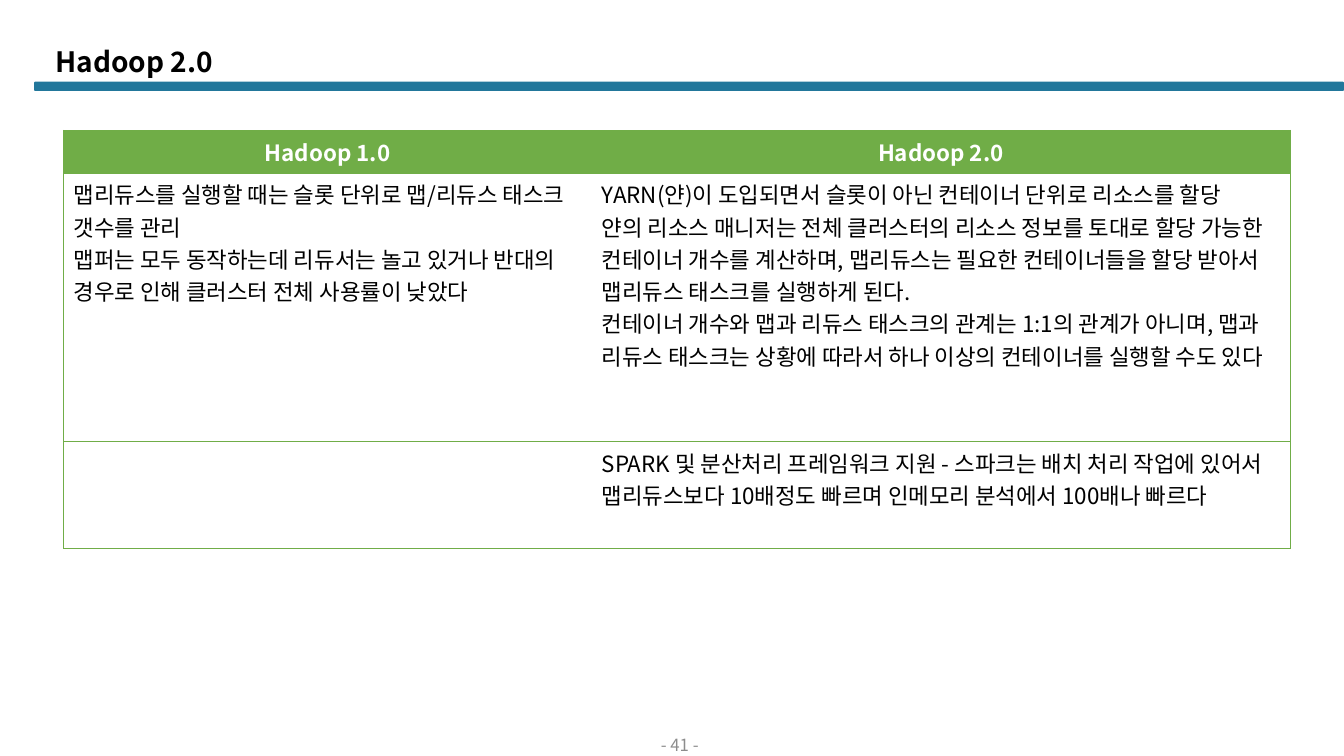
from dataclasses import dataclass

import lxml.etree
import pptx
import pptx.dml.color
import pptx.enum.shapes
import pptx.enum.text
import pptx.oxml.ns
import pptx.util

Cm = pptx.util.Cm
Pt = pptx.util.Pt
qn = pptx.oxml.ns.qn
ALIGN = pptx.enum.text.PP_ALIGN
ANCHOR = pptx.enum.text.MSO_ANCHOR

FONT = "Noto Sans CJK KR"
GREEN = "70AD47"
BLACK = "000000"
COLUMN_WIDTHS = (13.31, 17.6)


@dataclass
class TextStyle:
    size: int
    color: str
    bold: bool = False
    align: ALIGN = ALIGN.LEFT


@dataclass
class TableRow:
    height: float
    cells: list[list[str]]
    style: TextStyle
    fill: str | None = None


TITLE = TextStyle(20, BLACK, bold=True)
HEADER = TextStyle(16, "FFFFFF", bold=True, align=ALIGN.CENTER)
BODY = TextStyle(16, BLACK)
PAGE_NUMBER = TextStyle(12, "8C8C8C", align=ALIGN.CENTER)

ROWS = [
    TableRow(1.08, [["Hadoop 1.0"], ["Hadoop 2.0"]], HEADER, GREEN),
    TableRow(6.76, [
        ["맵리듀스를 실행할 때는 슬롯 단위로 맵/리듀스 태스크 갯수를 관리",
         "맵퍼는 모두 동작하는데 리듀서는 놀고 있거나 반대의 경우로 인해 "
         "클러스터 전체 사용률이 낮았다"],
        ["YARN(얀)이 도입되면서 슬롯이 아닌 컨테이너 단위로 리소스를 할당",
         "얀의 리소스 매니저는 전체 클러스터의 리소스 정보를 토대로 할당 가능한 "
         "컨테이너 개수를 계산하며, 맵리듀스는 필요한 컨테이너들을 할당 받아서 "
         "맵리듀스 태스크를 실행하게 된다.",
         "컨테이너 개수와 맵과 리듀스 태스크의 관계는 1:1의 관계가 아니며, "
         "맵과 리듀스 태스크는 상황에 따라서 하나 이상의 컨테이너를 실행할 수도 있다"],
    ], BODY),
    TableRow(2.7, [
        [],
        ["SPARK 및 분산처리 프레임워크 지원 - 스파크는 배치 처리 작업에 있어서 "
         "맵리듀스보다 10배정도 빠르며 인메모리 분석에서 100배나 빠르다"],
    ], BODY),
]


def rgb(color: str) -> pptx.dml.color.RGBColor:
    return pptx.dml.color.RGBColor.from_string(color)


def write(frame, lines: list[str], style: TextStyle) -> None:
    """Fill a text frame with one paragraph per line."""
    frame.text = "\n".join(lines)
    for para in frame.paragraphs:
        para.alignment = style.align
        font = para.font
        font.name = FONT
        font.size = Pt(style.size)
        font.bold = style.bold
        font.color.rgb = rgb(style.color)
        # Korean letters take the East Asian font
        defaults = para._p.pPr.find(qn("a:defRPr"))
        east_asian = lxml.etree.SubElement(defaults, qn("a:ea"))
        east_asian.set("typeface", FONT)


def set_borders(cell, visible: set[str]) -> None:
    """Draw thin green lines on the visible sides and none elsewhere."""
    properties = cell._tc.get_or_add_tcPr()
    for position, side in enumerate("LRTB"):
        line = lxml.etree.Element(qn(f"a:ln{side}"), w=str(Pt(0.5)))
        if side in visible:
            fill = lxml.etree.SubElement(line, qn("a:solidFill"))
            lxml.etree.SubElement(fill, qn("a:srgbClr"), val=GREEN)
        else:
            lxml.etree.SubElement(line, qn("a:noFill"))
        properties.insert(position, line)


def add_title(page, text: str) -> None:
    title = page.shapes.title
    title.left, title.top = Cm(1.14), Cm(1.09)
    title.width, title.height = Cm(30.48), Cm(1.19)
    frame = title.text_frame
    write(frame, [text], TITLE)
    frame.auto_size = pptx.enum.text.MSO_AUTO_SIZE.NONE
    frame.vertical_anchor = ANCHOR.TOP
    frame.paragraphs[0].line_spacing = 0.9


def add_title_bar(page) -> None:
    bar = page.shapes.add_shape(
        pptx.enum.shapes.MSO_SHAPE.ROUNDED_RECTANGLE,
        Cm(0.86), Cm(2.06), Cm(33.01), Cm(0.23))
    bar.adjustments[0] = 0.13
    bar.shadow.inherit = False
    bar.fill.solid()
    bar.fill.fore_color.rgb = rgb("22779B")
    bar.line.fill.background()


def add_comparison(page, rows: list[TableRow]) -> None:
    table = page.shapes.add_table(
        len(rows), len(COLUMN_WIDTHS), Cm(1.6), Cm(3.28),
        Cm(sum(COLUMN_WIDTHS)), Cm(sum(row.height for row in rows))).table
    for column, width in zip(table.columns, COLUMN_WIDTHS):
        column.width = Cm(width)
    for row_index, row in enumerate(rows):
        table.rows[row_index].height = Cm(row.height)
        for column_index, lines in enumerate(row.cells):
            cell = table.cell(row_index, column_index)
            write(cell.text_frame, lines, row.style)
            if row.fill:
                cell.fill.solid()
                cell.fill.fore_color.rgb = rgb(row.fill)
            else:
                cell.fill.background()
            outer_side = "L" if column_index == 0 else "R"
            set_borders(cell, {"T", "B", outer_side})


def add_page_number(page, text: str) -> None:
    box = page.shapes.add_textbox(Cm(13.18), Cm(18.47), Cm(7.9), Cm(0.58))
    frame = box.text_frame
    frame.word_wrap = True
    frame.vertical_anchor = ANCHOR.MIDDLE
    write(frame, [text], PAGE_NUMBER)


def main() -> None:
    deck = pptx.Presentation()
    deck.slide_width, deck.slide_height = Cm(33.87), Cm(19.05)
    page = deck.slides.add_slide(deck.slide_layouts.get_by_name("Title Only"))
    add_title_bar(page)
    add_title(page, "Hadoop 2.0")
    add_comparison(page, ROWS)
    add_page_number(page, "- 41 -")
    deck.save("out.pptx")


if __name__ == "__main__":
    main()
